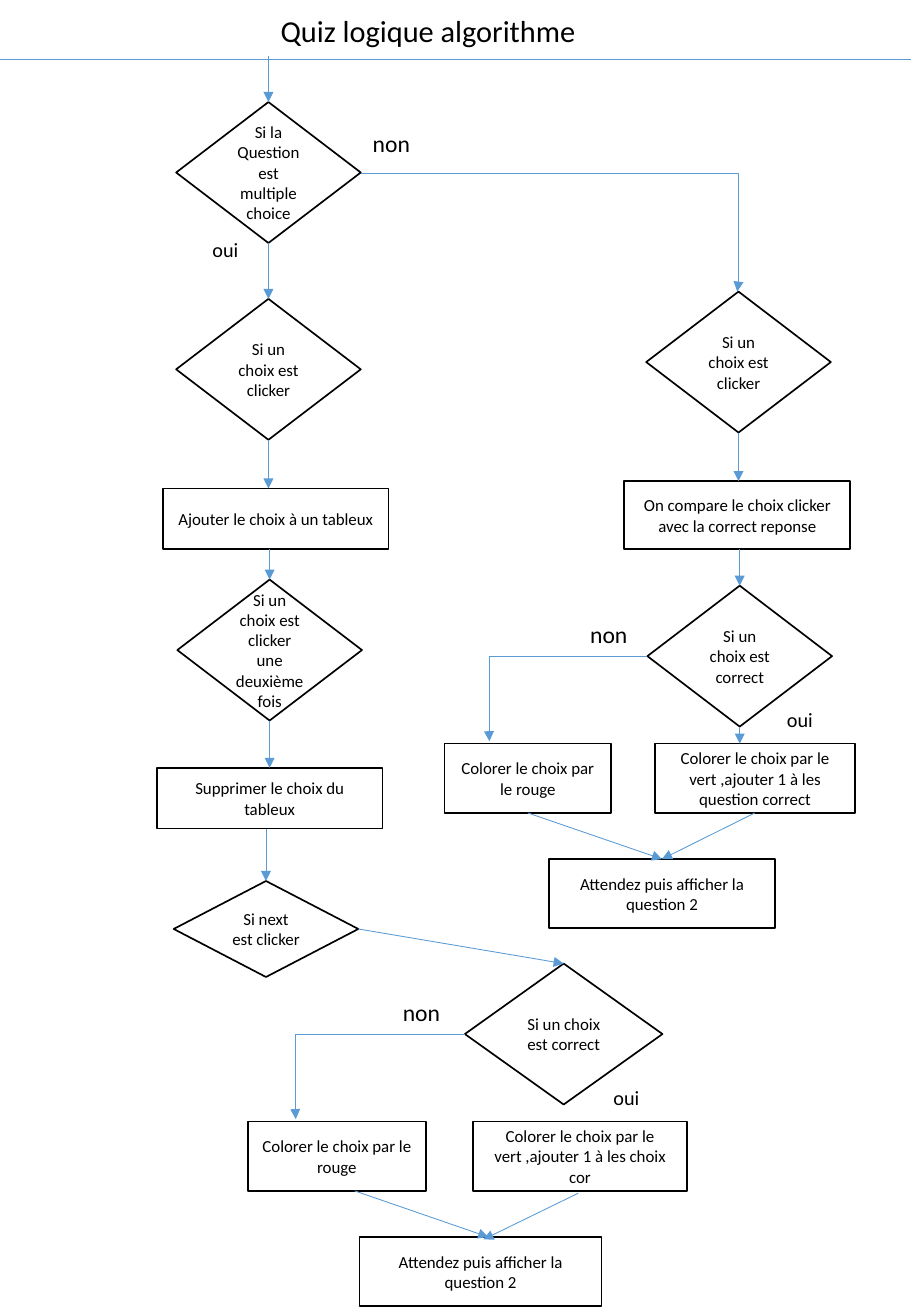
from dataclasses import dataclass

from lxml import etree
from pptx import Presentation
from pptx.dml.color import RGBColor
from pptx.enum.shapes import MSO_CONNECTOR, MSO_SHAPE
from pptx.enum.text import MSO_ANCHOR, MSO_AUTO_SIZE, PP_ALIGN
from pptx.oxml.ns import qn
from pptx.util import Inches, Pt

DECISION, ACTION = MSO_SHAPE.DIAMOND, MSO_SHAPE.RECTANGLE
STRAIGHT, ELBOW = MSO_CONNECTOR.STRAIGHT, MSO_CONNECTOR.ELBOW
TOP, MIDDLE = MSO_ANCHOR.TOP, MSO_ANCHOR.MIDDLE
LEFT, CENTER = PP_ALIGN.LEFT, PP_ALIGN.CENTER
GROW = MSO_AUTO_SIZE.SHAPE_TO_FIT_TEXT
SITE_TOP, SITE_BOTTOM, SITE_RIGHT = 0, 2, 3


@dataclass(frozen=True)
class Theme:
    """Colours, font, type sizes and line widths of the flowchart."""
    font: str = "Calibri"
    ink: RGBColor = RGBColor(0, 0, 0)
    paper: RGBColor = RGBColor(255, 255, 255)
    flow: RGBColor = RGBColor(0x5B, 0x9B, 0xD5)
    title: int = 18
    no: int = 14
    yes: int = 12
    step: int = 10
    outline: float = 1
    flow_width: float = 0.5


@dataclass(frozen=True)
class Box:
    """A region in inches."""
    left: float
    top: float
    width: float
    height: float

    def inner(self, left, top, width, height):
        """Return a box placed relative to this one."""
        return Box(self.left + left, self.top + top, width, height)

    def lengths(self):
        """Return left, top, width and height as slide lengths."""
        return [Inches(v) for v in (self.left, self.top, self.width, self.height)]


THEME = Theme()


def write(shape, text, size, align, anchor):
    """Put one styled paragraph into a shape."""
    frame = shape.text_frame
    frame.text = text
    frame.word_wrap = True
    frame.vertical_anchor = anchor
    paragraph = frame.paragraphs[0]
    paragraph.alignment = align
    font = paragraph.runs[0].font
    font.name, font.size, font.color.rgb = THEME.font, Pt(size), THEME.ink


def add_step(shapes, kind, text, box):
    """Add a decision diamond or an action rectangle."""
    step = shapes.add_shape(kind, *box.lengths())
    step.shadow.inherit = False
    step.fill.solid()
    step.fill.fore_color.rgb = THEME.paper
    step.line.color.rgb = THEME.ink
    step.line.width = Pt(THEME.outline)
    write(step, text, THEME.step, CENTER, MIDDLE)
    return step


def add_answer(shapes, text, size, box):
    """Add a oui or non label."""
    label = shapes.add_textbox(*box.lengths())
    write(label, text, size, LEFT, TOP)
    label.text_frame.auto_size = GROW


def add_flow(shapes, start, end, kind=STRAIGHT, arrow=True):
    """Draw a line between two points in inches; elbows turn above the end."""
    flow = shapes.add_connector(kind, *[Inches(v) for v in (*start, *end)])
    flow.line.color.rgb = THEME.flow
    flow.line.width = Pt(THEME.flow_width)
    properties = flow.element.spPr
    if arrow:
        etree.SubElement(properties.find(qn("a:ln")), qn("a:tailEnd"), type="triangle")
    if kind == ELBOW:
        adjustments = properties.find(qn("a:prstGeom")).find(qn("a:avLst"))
        etree.SubElement(adjustments, qn("a:gd"), name="adj1", fmla="val 100300")
    etree.SubElement(properties, qn("a:effectLst"))
    return flow


def join(shapes, source, source_site, target):
    """Attach an arrow from one step to the top of another."""
    flow = add_flow(shapes, (0, 0), (1, 1))
    flow.begin_connect(source, source_site)
    flow.end_connect(target, SITE_TOP)


def join_down(shapes, upper, lower):
    """Drop a vertical arrow along the centre of the decision of a pair."""
    upper_decides, lower_decides = (s.auto_shape_type == DECISION for s in (upper, lower))
    decision = upper if upper_decides else lower
    x = (decision.left + decision.width / 2) / Inches(1)
    flow = add_flow(shapes, (x, (upper.top + upper.height) / Inches(1)),
                    (x, lower.top / Inches(1)))
    if upper_decides:
        flow.begin_connect(upper, SITE_BOTTOM)
    if lower_decides:
        flow.end_connect(lower, SITE_TOP)


def add_header(slide, box):
    """Place the title and the rule beneath it."""
    bottom = box.top + box.height
    add_flow(slide.shapes, (box.left, bottom), (box.left + box.width, bottom), arrow=False)
    title = slide.shapes.title
    title.left, title.top, title.width, title.height = box.inner(2.21, 0.05, 2.93, 0.4).lengths()
    write(title, "Quiz logique algorithme", THEME.title, LEFT, TOP)
    title.text_frame.auto_size = GROW


def add_column(shapes, box, steps):
    """Stack steps in a column and chain them; return them in order."""
    column = [add_step(shapes, kind, text, box.inner(*place)) for kind, text, place in steps]
    for upper, lower in zip(column, column[1:]):
        join_down(shapes, upper, lower)
    return column


def add_verdict(slide, box, right_text):
    """Add a group checking the choice; return decision, wrong, right, next."""
    shapes = slide.shapes.add_group_shape().shapes
    stretch = box.width / 3.84

    def place(left, top, width, height):
        """Return an inner box stretched to the width of the region."""
        return box.inner(left * stretch, top, width * stretch, height)

    decision = add_step(shapes, DECISION, "Si un choix est correct", place(1.67, 0, 1.52, 1.16))
    wrong = add_step(shapes, ACTION, "Colorer le choix par le rouge", place(0, 1.3, 1.37, 0.57))
    right = add_step(shapes, ACTION, right_text, place(1.73, 1.3, 1.65, 0.57))
    following = add_step(shapes, ACTION, "Attendez puis afficher la question 2",
                         place(0.86, 2.25, 1.86, 0.57))
    turn = place(0.37, 0.58, 1.3, 0.7)
    add_flow(shapes, (turn.left + turn.width, turn.top),
             (turn.left, turn.top + turn.height), ELBOW)
    add_answer(shapes, "non", THEME.no, place(1.1, 0.23, 1.12, 0.34))
    add_answer(shapes, "oui", THEME.yes, place(2.72, 0.95, 1.12, 0.3))
    return decision, wrong, right, following


def build_slide(slide):
    """Lay out the quiz flowchart."""
    shapes = slide.shapes
    add_header(slide, Box(0, 0, 7.5, 0.49))

    multiple = add_column(shapes, Box(1.29, 0.84, 1.91, 7.2), [
        (DECISION, "Si la Question est multiple choice", (0.16, 0, 1.52, 1.16)),
        (DECISION, "Si un choix est clicker", (0.16, 1.62, 1.52, 1.16)),
        (ACTION, "Ajouter le choix à un tableux", (0.05, 3.18, 1.86, 0.5)),
        (DECISION, "Si un choix est clicker une deuxième fois", (0.17, 3.93, 1.52, 1.16)),
        (ACTION, "Supprimer le choix du tableux", (0, 5.48, 1.86, 0.5)),
        (DECISION, "Si next est clicker", (0.14, 6.41, 1.52, 0.79)),
    ])
    add_flow(shapes, (2.21, 0.46), (2.21, 0.84)).end_connect(multiple[0], SITE_TOP)
    add_answer(shapes, "non", THEME.no, Box(2.97, 1.01, 1.12, 0.34))
    add_answer(shapes, "oui", THEME.yes, Box(1.65, 1.9, 1.12, 0.3))

    single = add_column(shapes, Box(5.14, 2.4, 1.86, 2.12), [
        (DECISION, "Si un choix est clicker", (0.18, 0, 1.52, 1.16)),
        (ACTION, "On compare le choix clicker avec la correct reponse", (0, 1.56, 1.86, 0.56)),
    ])
    add_flow(shapes, (2.97, 1.43), (6.07, 2.4), ELBOW)

    decision, wrong, right, following = add_verdict(
        slide, Box(3.66, 4.82, 3.84, 2.82),
        "Colorer le choix par le vert ,ajouter 1 à les question correct")
    join_down(shapes, single[-1], decision)
    join_down(shapes, decision, right)
    for outcome in (wrong, right):
        join(shapes, outcome, SITE_BOTTOM, following)

    final_decision = add_verdict(
        slide, Box(2.04, 7.93, 4.11, 2.82),
        "Colorer le choix par le vert ,ajouter 1 à les choix cor")[0]
    join(shapes, multiple[-1], SITE_RIGHT, final_decision)
    add_flow(shapes, (4.76, 9.82), (3.98, 10.2))
    add_flow(shapes, (2.92, 9.8), (4.02, 10.18))


deck = Presentation()
deck.slide_width, deck.slide_height = Inches(7.5), Inches(10.83)
title_only = deck.slide_layouts[5]
build_slide(deck.slides.add_slide(title_only))
deck.save("out.pptx")
